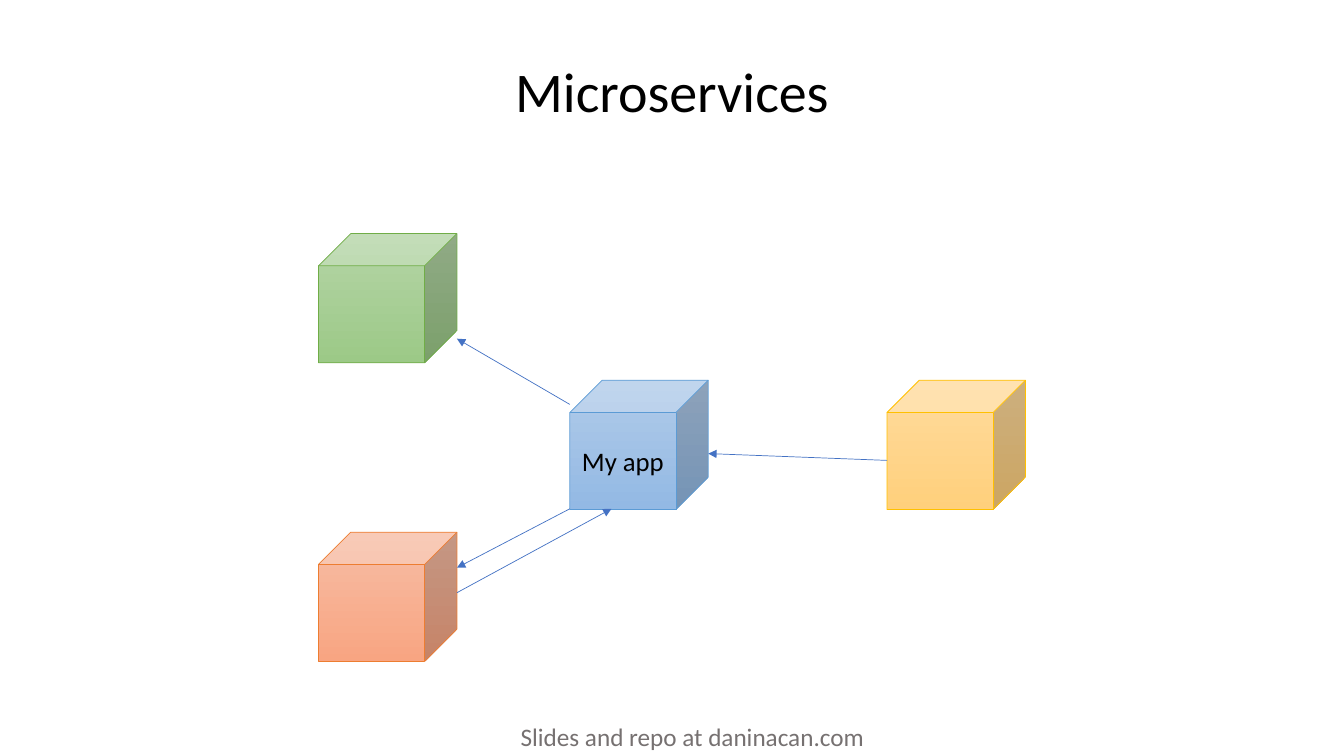
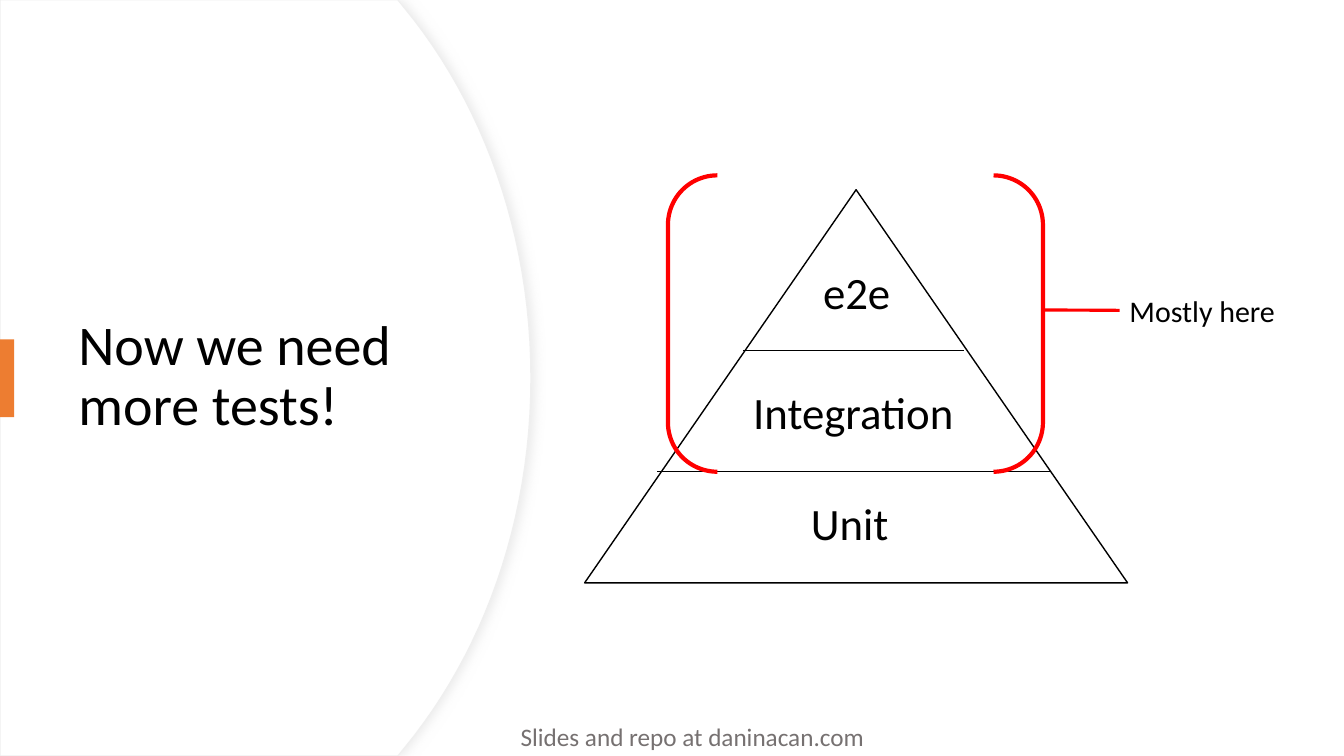
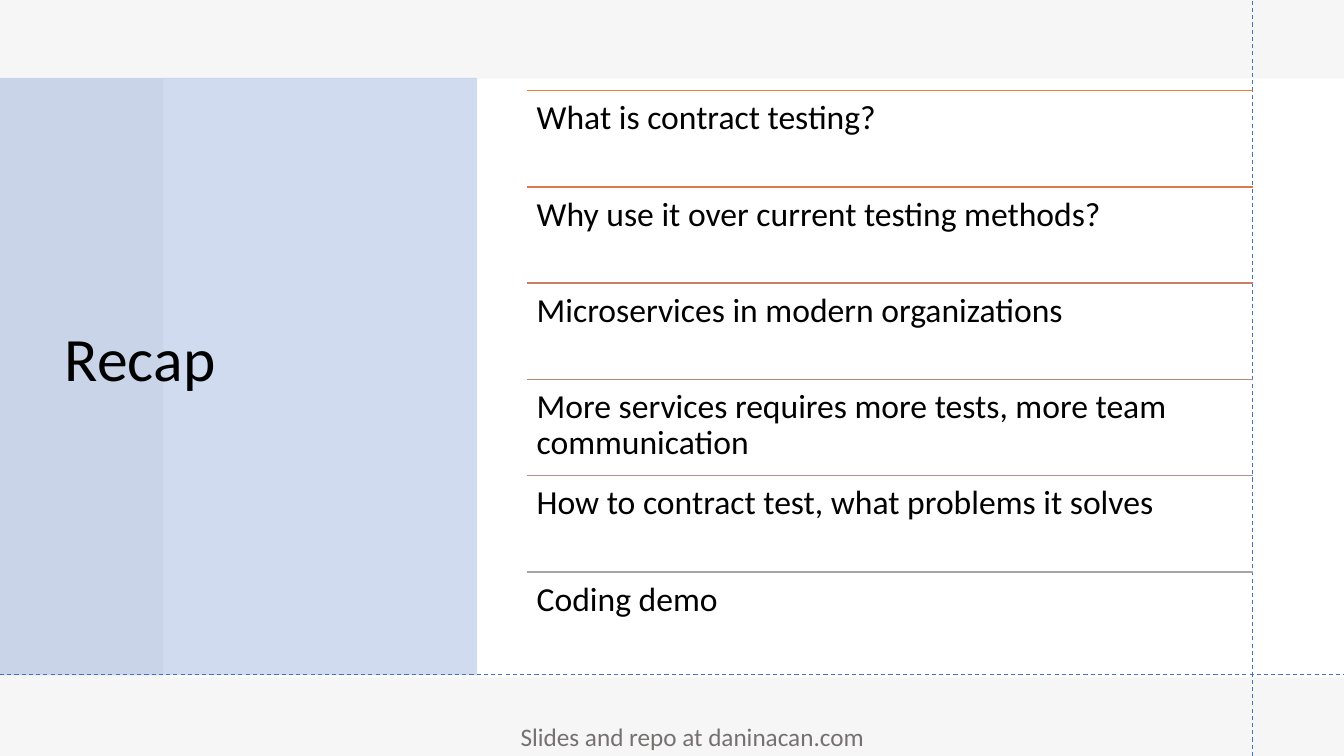
from lxml.etree import SubElement
from pptx import Presentation
from pptx.dml.color import RGBColor
from pptx.enum.dml import MSO_LINE
from pptx.enum.shapes import MSO_CONNECTOR, MSO_SHAPE
from pptx.enum.text import MSO_ANCHOR, MSO_AUTO_SIZE, PP_ALIGN
from pptx.oxml.ns import qn
from pptx.util import Inches, Pt

WIDTH, HEIGHT = Inches(13.333), Inches(7.5)
FONT = "Calibri"
COLORS = {
    "text": "000000", "footer": "767171", "white": "FFFFFF", "page": "F6F6F6",
    "accent": "4472C4", "orange": "ED7D31", "mark": "FF0000",
    "edge": "EFEFEF", "shade": "D9D9D9",
}
# Cube colours: gradient top, gradient bottom, outline
CUBES = {
    "blue": ("B1CBE9", "93B9E4", "5B9BD5"),
    "green": ("B5D5A7", "9CC987", "70AD47"),
    "red": ("F7BDA5", "F8A582", "ED7D31"),
    "yellow": ("FFDB9E", "FFD07C", "FFC000"),
}
RECAP = [
    ("What is contract testing?", "ED7D31"),
    ("Why use it over current testing methods?", "DC7A4B"),
    ("Microservices in modern organizations", "CC7D64"),
    ("More services requires more tests, more team communication", "BD867B"),
    ("How to contract test, what problems it solves", "B09391"),
    ("Coding demo", "A5A5A5"),
]


# All positions and sizes are percentages of the slide's width and height
def px(v):
    return int(WIDTH * v / 100)


def py(v):
    return int(HEIGHT * v / 100)


def frame(left, top, width, height):
    return px(left), py(top), px(width), py(height)


def rgb(name):
    return RGBColor.from_string(COLORS.get(name, name))


def set_all(obj, values):
    for key, value in values.items():
        setattr(obj, key, value)


def write(sp, text, size, color="text", para=None, **tf_format):
    tf = sp.text_frame
    set_all(tf, {"word_wrap": True, **tf_format})
    p = tf.paragraphs[0]
    set_all(p, para or {})
    r = p.add_run()
    r.text = text
    set_all(r.font, {"size": Pt(size), "name": FONT})
    r.font.color.rgb = rgb(color)


def add_text(s, box, text, size, **options):
    sp = s.shapes.add_textbox(*frame(*box))
    write(sp, text, size, **options)
    return sp


def add_title(s, box, text, size=40, align=PP_ALIGN.LEFT):
    add_text(s, box, text, size, para={"alignment": align, "line_spacing": 0.9},
             vertical_anchor=MSO_ANCHOR.MIDDLE)


def add_footer(s):
    add_text(s, (38, 94.7, 27.4, 5.3), "Slides and repo at daninacan.com", 18,
             color="footer", word_wrap=False,
             auto_size=MSO_AUTO_SIZE.SHAPE_TO_FIT_TEXT)


def paint(sp, fill=None, line=None, weight=1.0, alpha=None):
    sp.shadow.inherit = False
    if fill:
        sp.fill.solid()
        sp.fill.fore_color.rgb = rgb(fill)
    else:
        sp.fill.background()
    if alpha:
        color = sp._element.spPr.find(qn("a:solidFill"))[0]
        SubElement(color, qn("a:alpha"), val=str(alpha * 1000))
    if line:
        sp.line.color.rgb = rgb(line)
        sp.line.width = Pt(weight)
    else:
        sp.line.fill.background()


def add_shape(s, kind, box, **style):
    sp = s.shapes.add_shape(kind, *frame(*box))
    paint(sp, **style)
    return sp


def add_line(s, start, end, color, weight, arrow=False, dash=None):
    ends = px(start[0]), py(start[1]), px(end[0]), py(end[1])
    line = s.shapes.add_connector(MSO_CONNECTOR.STRAIGHT, *ends)
    line.line.color.rgb = rgb(color)
    line.line.width = Pt(weight)
    if dash:
        line.line.dash_style = dash
    if arrow:
        SubElement(line.line._get_or_add_ln(), qn("a:tailEnd"), type="triangle")
    SubElement(line._element.spPr, qn("a:effectLst"))
    return line


def add_cube(s, left, top, name):
    first, last, edge = CUBES[name]
    sp = add_shape(s, MSO_SHAPE.CUBE, (left, top, 10.3, 17.1), line=edge, weight=0.5)
    sp.fill.gradient()
    sp.fill.gradient_angle = 270
    for stop, color in zip(sp.fill.gradient_stops, (first, last)):
        stop.color.rgb = rgb(color)
    return sp


def bezier(points, steps=24):
    for i in range(1, steps + 1):
        t = i / steps
        weights = ((1 - t) ** 3, 3 * t * (1 - t) ** 2, 3 * t ** 2 * (1 - t), t ** 3)
        yield tuple(sum(w * pt[k] for w, pt in zip(weights, points)) for k in (0, 1))


def add_round_panel(s):
    upper = [(30.1, 1.1), *bezier([(30.1, 1.1), (35.9, 13.6), (39.5, 30.9), (39.5, 50)])]
    lower = [(x, 100 - y) for x, y in reversed(upper[:-1])]
    outline = [(29.6, 0), *upper, *lower, (29.6, 100), (0, 100)]
    builder = s.shapes.build_freeform(0, 0)
    builder.add_line_segments([(px(x), py(y)) for x, y in outline], close=True)
    sp = builder.convert_to_shape()
    paint(sp, fill="white", line="edge", weight=0.75)
    effects = sp._element.spPr.find(qn("a:effectLst"))
    shadow = SubElement(effects, qn("a:outerShdw"), blurRad=str(Pt(7)), dist=str(Pt(3)), dir="0")
    color = SubElement(shadow, qn("a:srgbClr"), val=COLORS["shade"])
    SubElement(color, qn("a:alpha"), val="50000")


def microservices(s):
    add_title(s, (9.4, 4, 81.2, 16.9), "Microservices", align=PP_ALIGN.CENTER)
    app = add_cube(s, 42.4, 50.3, "blue")
    write(app, "My app", 19.1, para={"alignment": PP_ALIGN.CENTER, "space_after": Pt(6)},
          vertical_anchor=MSO_ANCHOR.MIDDLE)
    for left, top, name in ((23.7, 30.9, "green"), (23.7, 70.4, "red"), (66, 50.3, "yellow")):
        add_cube(s, left, top, name)
    # Calls between the services
    for start, end in (
        ((42.4, 53.5), (34, 44.8)),
        ((42.4, 67.3), (34, 75.1)),
        ((34, 78.4), (45.5, 67.3)),
        ((66, 60.9), (52.7, 60)),
    ):
        add_line(s, start, end, "accent", 0.5, arrow=True)


def test_pyramid(s):
    add_round_panel(s)
    add_title(s, (5.1, 16.9, 29.6, 66), "Now we need more tests!")
    add_shape(s, MSO_SHAPE.RECTANGLE, (0, 44.9, 1.05, 10.3), fill="orange")
    # Pyramid and its levels
    add_shape(s, MSO_SHAPE.ISOSCELES_TRIANGLE, (43.5, 25.1, 40.4, 52),
              fill="white", line="text")
    for left, right, y in ((48.9, 78.2, 62.3), (55.3, 71.7, 46.3)):
        add_line(s, (left, y), (right, y), "text", 0.5)
    for left, top, width, level in (
        (59.6, 64.9, 9.1, "Unit"),
        (55.3, 50.3, 19.8, "Integration"),
        (60.5, 34.3, 7.5, "e2e"),
    ):
        add_text(s, (left, top, width, 13.7), level, 32, para={"space_after": Pt(6)})
    # Bracket with its label
    add_shape(s, MSO_SHAPE.DOUBLE_BRACKET, (49.7, 23.2, 27.9, 39.2), line="mark", weight=3)
    label = add_text(s, (83.3, 38, 12.5, 6.1), "Mostly here", 21.4, word_wrap=False,
                     para={"space_after": Pt(6)})
    pointer = add_line(s, (77.6, 41), (83.3, 41), "mark", 2.25)
    pointer.end_connect(label, 1)


def recap(s):
    s.background.fill.solid()
    s.background.fill.fore_color.rgb = rgb("page")
    add_shape(s, MSO_SHAPE.RECTANGLE, (12.15, 10.4, 87.85, 79.2), fill="white")
    add_shape(s, MSO_SHAPE.RECTANGLE, (0, 10.3, 35.5, 79), fill="accent", alpha=25)
    add_title(s, (4.1, 9.9, 29.6, 75.9), "Recap", size=44)
    # Guides
    for start, end in (((93.2, 100), (93.2, 0)), ((0, 89.2), (100, 89.2))):
        add_line(s, start, end, "accent", 0.75, dash=MSO_LINE.DASH)
    # Ruled list
    left, right, first, step = 39.2, 93.2, 12, 12.73
    margins = {f"margin_{side}": Inches(0.1) for side in ("left", "top", "right", "bottom")}
    for i, (text, color) in enumerate(RECAP):
        y = first + i * step
        add_line(s, (left, y), (right, y), color, 1)
        add_text(s, (left, y, right - left, step), text, 24,
                 para={"line_spacing": 0.9}, **margins)


def main():
    prs = Presentation()
    set_all(prs, {"slide_width": WIDTH, "slide_height": HEIGHT})
    for build in (microservices, test_pyramid, recap):
        s = prs.slides.add_slide(prs.slide_layouts[6])
        build(s)
        add_footer(s)
    prs.save("out.pptx")


if __name__ == "__main__":
    main()
